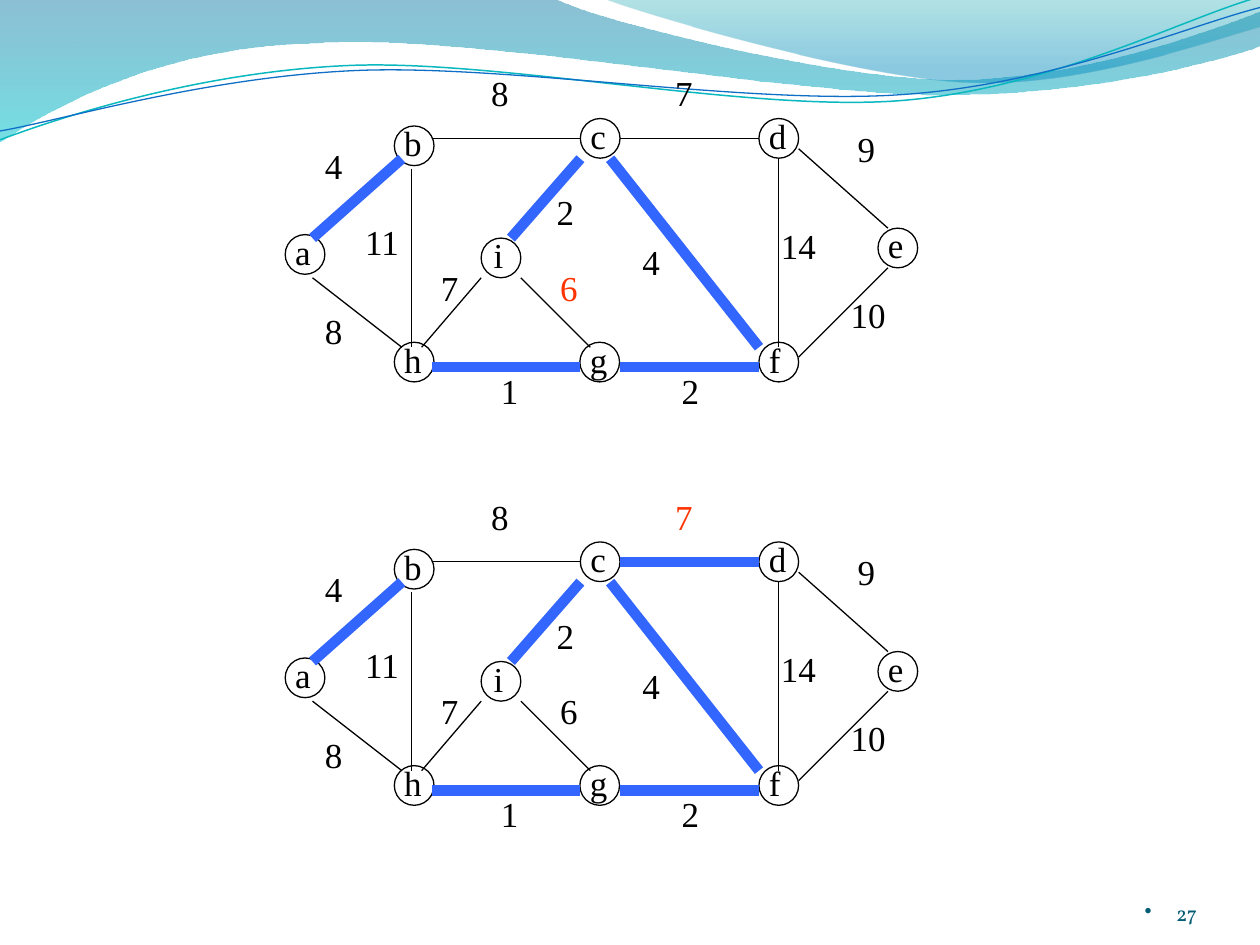
"""Two steps of a minimum spanning tree on a weighted graph, below a wave header."""
from math import cos, radians, sin

from lxml import etree
from pptx import Presentation
from pptx.dml.color import RGBColor
from pptx.enum.shapes import MSO_CONNECTOR, MSO_SHAPE
from pptx.enum.text import MSO_ANCHOR, MSO_AUTO_SIZE, PP_ALIGN
from pptx.oxml.ns import qn
from pptx.util import Inches, Pt

STRAIGHT, ELLIPSE = MSO_CONNECTOR.STRAIGHT, MSO_SHAPE.OVAL
GROW, BOTTOM, RIGHT = MSO_AUTO_SIZE.SHAPE_TO_FIT_TEXT, MSO_ANCHOR.BOTTOM, PP_ALIGN.RIGHT
COLORS = {name: RGBColor.from_string(value) for name, value in {
    "ink": "000000", "tree": "3366FF", "added": "FF3300", "number": "045D75",
    "teal_line": "0AB8BF", "blue_line": "0F6FC6",
    "ocean": "0074A1", "cyan": "00C6CF", "teal": "00A1A9", "sky": "008BBF"}.items()}

presentation = Presentation()
presentation.slide_width, presentation.slide_height = Inches(10), Inches(7.5)
slide = presentation.slides.add_slide(presentation.slide_layouts[6])
CELL = presentation.slide_width / 254


def cells(*values):
    """Turn grid cells into lengths."""
    return [round(value * CELL) for value in values]


def add_label(group, text, column, row, width, color):
    """Add a node name or an edge weight."""
    label = group.shapes.add_textbox(*cells(column, row, width, 11))
    frame = label.text_frame
    frame.text = text
    frame.word_wrap = False
    frame.auto_size = GROW
    paragraph = frame.paragraphs[0]
    paragraph.space_before = Pt(2)
    font = paragraph.runs[0].font
    font.name, font.size, font.color.rgb = "Times New Roman", Pt(20), COLORS[color]


waves = [
    ([(0, 0), (4.4, -0.01), (4.76, 0.17, 6.64, 0.63, 7.58, 0.63),
      (8.53, 0.63, 9.58, 0.26, 10, 0.09), (10.01, 0.36),
      (9.83, 0.44, 8.7, 0.76, 7.46, 0.75), (6.22, 0.75, 3.82, 0.28, 2.57, 0.34),
      (1.29, 0.36, 0.46, 0.83, -0.01, 1.13)],
     [("ocean", 0, 45), ("cyan", 1, 55)], None, 0, (0, 0)),
    ([(4.79, -0.01), (5.09, 0.11, 6.82, 0.62, 7.69, 0.65),
      (8.56, 0.69, 9.61, 0.32, 10, 0.21), (10, 0)],
     [("teal", 0, 30), ("sky", 0.8, 45)], None, 0, (0, 0)),
    ([(0, 1.11), (0.48, 0.93, 1.58, 0.57, 2.77, 0.52),
      (3.95, 0.47, 5.93, 0.89, 7.13, 0.8), (8.33, 0.71, 9.38, 0.15, 9.98, -0.02)],
     None, ("teal_line", 0.85), 2.7, (4.99, 0.57)),
    ([(0, 1.04), (0.47, 0.96, 1.64, 0.61, 2.83, 0.56),
      (4.03, 0.51, 5.97, 0.84, 7.17, 0.75), (8.36, 0.67, 9.41, 0.21, 10, 0.06)],
     None, ("blue_line", 0.75), 2.7, (5, 0.59)),
]
for outline, stops, stroke, tilt, (center_x, center_y) in waves:
    cosine, sine = cos(radians(tilt)), sin(radians(tilt))
    segments = [[(Inches(center_x + (x - center_x) * cosine - (y - center_y) * sine),
                  Inches(center_y + (x - center_x) * sine + (y - center_y) * cosine))
                 for x, y in zip(segment[::2], segment[1::2])] for segment in outline]
    builder = slide.shapes.build_freeform(*segments[0][0])
    builder.add_line_segments([segment[-1] for segment in segments[1:]], close=bool(stops))
    wave = builder.convert_to_shape()
    wave.shadow.inherit = False
    for line, segment in zip(list(wave._element.iter(qn("a:lnTo"))), segments[1:]):
        if len(segment) == 3:
            curve = etree.Element(qn("a:cubicBezTo"))
            for x, y in segment:
                point = etree.SubElement(curve, qn("a:pt"))
                point.set("x", str(x - wave.left))
                point.set("y", str(y - wave.top))
            line.getparent().replace(line, curve)
    wave.rotation = -tilt
    if stops:
        wave.line.fill.background()
        wave.fill.gradient()
        wave.fill.gradient_angle = 270
        for stop, (color, position, _) in zip(wave.fill.gradient_stops, stops):
            stop.color.rgb = COLORS[color]
            stop.position = position
        for tone, (_, _, opacity) in zip(wave._element.spPr.iter(qn("a:srgbClr")), stops):
            etree.SubElement(tone, qn("a:alpha")).set("val", str(opacity * 1000))
    else:
        wave.fill.background()
        wave.line.color.rgb, wave.line.width = COLORS[stroke[0]], Pt(stroke[1])

DIAMETER = 8
nodes = [("a", 57.5, 47.3, 8.1), ("b", 79.5, 25.4, 8.6), ("h", 79.5, 69, 8.6),
         ("c", 117, 23.9, 8.1), ("d", 153, 23.9, 8.6), ("e", 177, 46, 8.1),
         ("f", 153, 69, 7.4), ("g", 116.9, 69, 8.6), ("i", 97, 48, 7.1)]
edges = [("ab", 63, 48, 81, 32), ("ah", 63, 56, 81, 70), ("bh", 83, 34, 83, 70),
         ("bc", 87, 27.9, 117, 27.9), ("hg", 87, 74, 117, 74), ("gf", 125, 74, 153, 74),
         ("cf", 123, 32, 153, 70), ("cd", 125, 27.9, 153, 27.9), ("df", 157, 32, 157, 70),
         ("de", 161, 30, 179, 46), ("fe", 161, 72, 179, 54), ("ig", 105, 56, 119, 70),
         ("hi", 85, 70, 97, 56), ("ic", 103, 48, 117, 32)]
weights = [("ab", "4", 63, 27.9), ("bc", "8", 96.5, 13.2), ("cd", "7", 133.6, 13.2),
           ("de", "9", 170.4, 24.4), ("fe", "10", 169, 57.9), ("df", "14", 154.9, 44),
           ("cf", "4", 127, 47.3), ("ic", "2", 109.7, 37.2), ("gf", "2", 134.9, 73.2),
           ("ig", "6", 110.4, 52.5), ("hg", "1", 98.5, 73.2), ("hi", "7", 86.4, 52.5),
           ("bh", "11", 71.1, 43.2), ("ah", "8", 63, 61.2)]
tree = {"ab", "hg", "gf", "cf", "ic"}
graphs = [(85.35, tree | {"cd"}, "cd"), (0, tree, "ig")]

for top, chosen, highlighted in graphs:
    graph = slide.shapes.add_group_shape()
    for name, column, row, width in nodes:
        add_label(graph, name, column - (0 if name == "i" else 0.5), top + row - 2.1, width, "ink")
        circle = graph.shapes.add_shape(ELLIPSE, *cells(column, top + row, DIAMETER, DIAMETER))
        circle.shadow.inherit = False
        circle.fill.background()
        circle.line.color.rgb, circle.line.width = COLORS["ink"], Pt(0.75)
    for name, x1, y1, x2, y2 in edges:
        edge = graph.shapes.add_connector(STRAIGHT, *cells(x1, top + y1, x2, top + y2))
        edge.line.color.rgb = COLORS["tree" if name in chosen else "ink"]
        edge.line.width = Pt(6 if name in chosen else 0.75)
        etree.SubElement(edge._element.spPr, qn("a:effectLst"))
    for name, weight, column, row in weights:
        add_label(graph, weight, column, top + row, 8.6 if len(weight) == 1 else 12.1,
                  "added" if name == highlighted else "ink")

number = slide.shapes.add_textbox(Inches(8.67), Inches(6.95), Inches(0.83), Inches(0.4))
frame = number.text_frame
frame.text = "27"
frame.word_wrap = True
frame.vertical_anchor = BOTTOM
frame.margin_left = frame.margin_right = frame.margin_top = frame.margin_bottom = 0
paragraph = frame.paragraphs[0]
paragraph.alignment = RIGHT
font = paragraph.runs[0].font
font.name, font.size, font.color.rgb = "Vollkorn", Pt(12), COLORS["number"]
properties = paragraph._p.get_or_add_pPr()
properties.set("marL", str(Inches(0.25)))
properties.set("indent", str(-Inches(0.25)))
etree.SubElement(properties, qn("a:buChar")).set("char", "•")

presentation.save("out.pptx")
